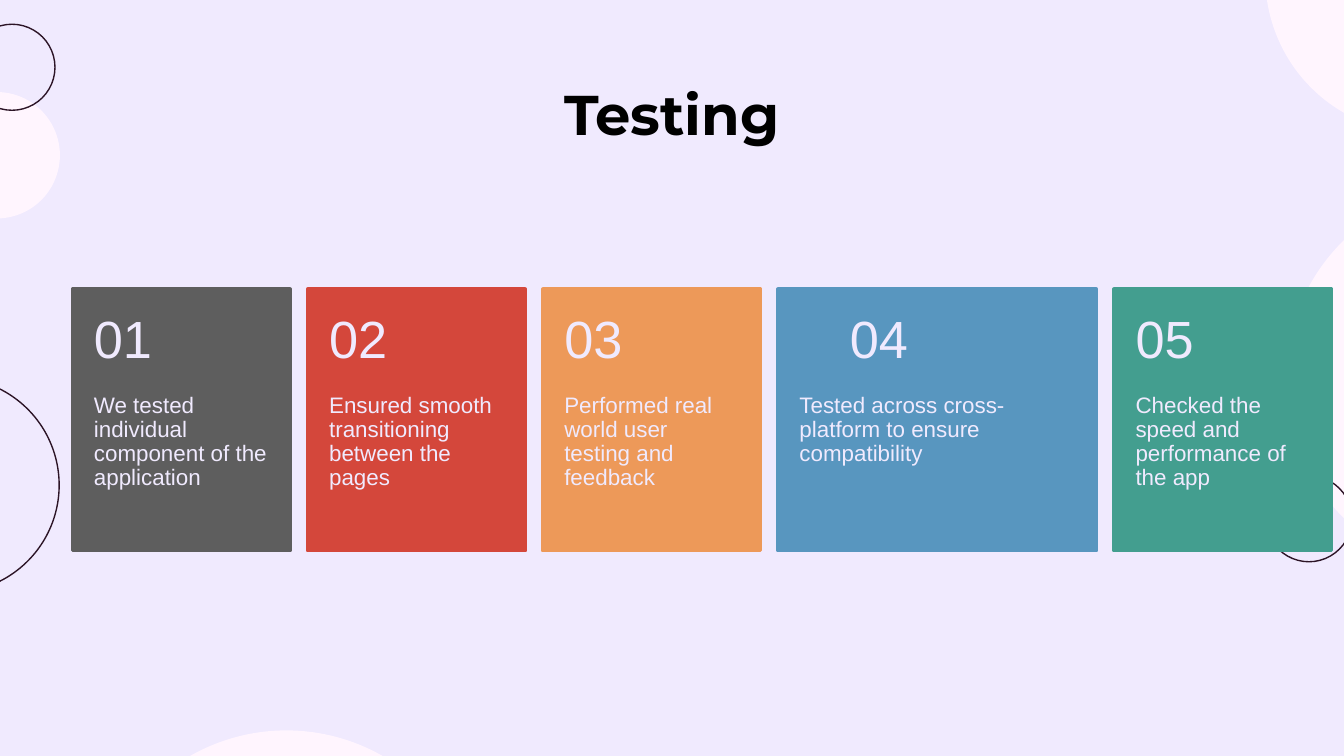
import pptx
import pptx.util
import pptx.dml.color
import pptx.enum.shapes
import pptx.enum.text

Pt = pptx.util.Pt
SHAPE = pptx.enum.shapes.MSO_SHAPE
ANCHOR = pptx.enum.text.MSO_ANCHOR
ALIGN = pptx.enum.text.PP_ALIGN

COLORS = {
    "background": "F0EAFE", "blush": "FFF5FE", "plum": "2C1426",
    "title": "000000", "card_text": "F0EAFE",
    "gray": "5E5E5E", "red": "D4473B", "orange": "ED9959",
    "blue": "5896BF", "green": "439E8F",
}

DISCS = [(689, 99.4, 207.4), (678.2, -95.8, 167), (-35.3, 49.7, 67), (49.7, 391.7, 207.4)]
RINGS = [(-83.5, 202.3, 115.2), (-16.6, 13, 46.1), (678.2, 254.9, 46.1)]

CARD_WIDTH = 116.6
WIDE_CARD = 170.6
CARDS = [
    ("gray", CARD_WIDTH, "We tested individual component of the application"),
    ("red", CARD_WIDTH, "Ensured smooth transitioning between the pages"),
    ("orange", CARD_WIDTH, "Performed real world user testing and feedback"),
    ("blue", WIDE_CARD, "Tested across cross-platform to ensure compatibility"),
    ("green", CARD_WIDTH, "Checked the speed and performance of the app"),
]

TITLE = {"name": "Montserrat", "size": Pt(30), "bold": True}
NUMBER = {"name": "Arial", "size": Pt(28), "bold": False}
BODY = {"name": "Arial", "size": Pt(12), "bold": False}


def rgb(name):
    return pptx.dml.color.RGBColor.from_string(COLORS[name])


def add_shape(s, kind, box, fill, line, weight):
    sp = s.shapes.add_shape(kind, *map(Pt, box))
    sp.shadow.inherit = False
    if fill:
        sp.fill.solid()
        sp.fill.fore_color.rgb = rgb(fill)
    else:
        sp.fill.background()
    sp.line.color.rgb = rgb(line)
    sp.line.width = Pt(weight)


def add_text(s, box, text, font, color, insets, anchor=ANCHOR.TOP, align=ALIGN.LEFT, spacing=0.9):
    tf = s.shapes.add_textbox(*map(Pt, box)).text_frame
    left, top, right, bottom = map(Pt, insets)
    frame = {"word_wrap": True, "vertical_anchor": anchor, "margin_left": left,
             "margin_top": top, "margin_right": right, "margin_bottom": bottom}
    for key, value in frame.items():
        setattr(tf, key, value)
    p = tf.paragraphs[0]
    p.alignment = align
    p.line_spacing = spacing
    r = p.add_run()
    r.text = text
    for key, value in font.items():
        setattr(r.font, key, value)
    r.font.color.rgb = rgb(color)


def add_background(s):
    s.background.fill.solid()
    s.background.fill.fore_color.rgb = rgb("background")
    for circles, fill, line in ((DISCS, "blush", "blush"), (RINGS, None, "plum")):
        for left, top, size in circles:
            add_shape(s, SHAPE.OVAL, (left, top, size, size), fill, line, 0.75)


def add_title(s, box):
    add_text(s, box, "Testing", TITLE, "title", (7.2,) * 4, align=ALIGN.CENTER, spacing=1.0)


def add_card(s, box, color, number, text):
    left, top, width, height = box
    head = height * 0.4
    number_left = left + (width - CARD_WIDTH) / 2
    add_shape(s, SHAPE.RECTANGLE, box, color, color, 2)
    add_text(s, (left, top + head, width, height - head), text, BODY, "card_text",
             (11.5, 0, 11.5, 26))
    add_text(s, (number_left, top, CARD_WIDTH, head), f"{number:02d}", NUMBER, "card_text",
             (11.5, 13, 11.5, 13), anchor=ANCHOR.MIDDLE)


def add_cards(s, box):
    left, top, width, height = box
    gap = (width - sum(card[1] for card in CARDS)) / (len(CARDS) - 1)
    for number, (color, card_width, text) in enumerate(CARDS, 1):
        add_card(s, (left, top, card_width, height), color, number, text)
        left += card_width + gap


def main():
    prs = pptx.Presentation()
    prs.slide_width, prs.slide_height = Pt(720), Pt(405)
    s = prs.slides.add_slide(prs.slide_layouts[6])
    add_background(s)
    add_title(s, (56.7, 35.3, 606.6, 45.4))
    add_cards(s, (38.8, 155, 674.6, 140))
    prs.save("out.pptx")


if __name__ == "__main__":
    main()
